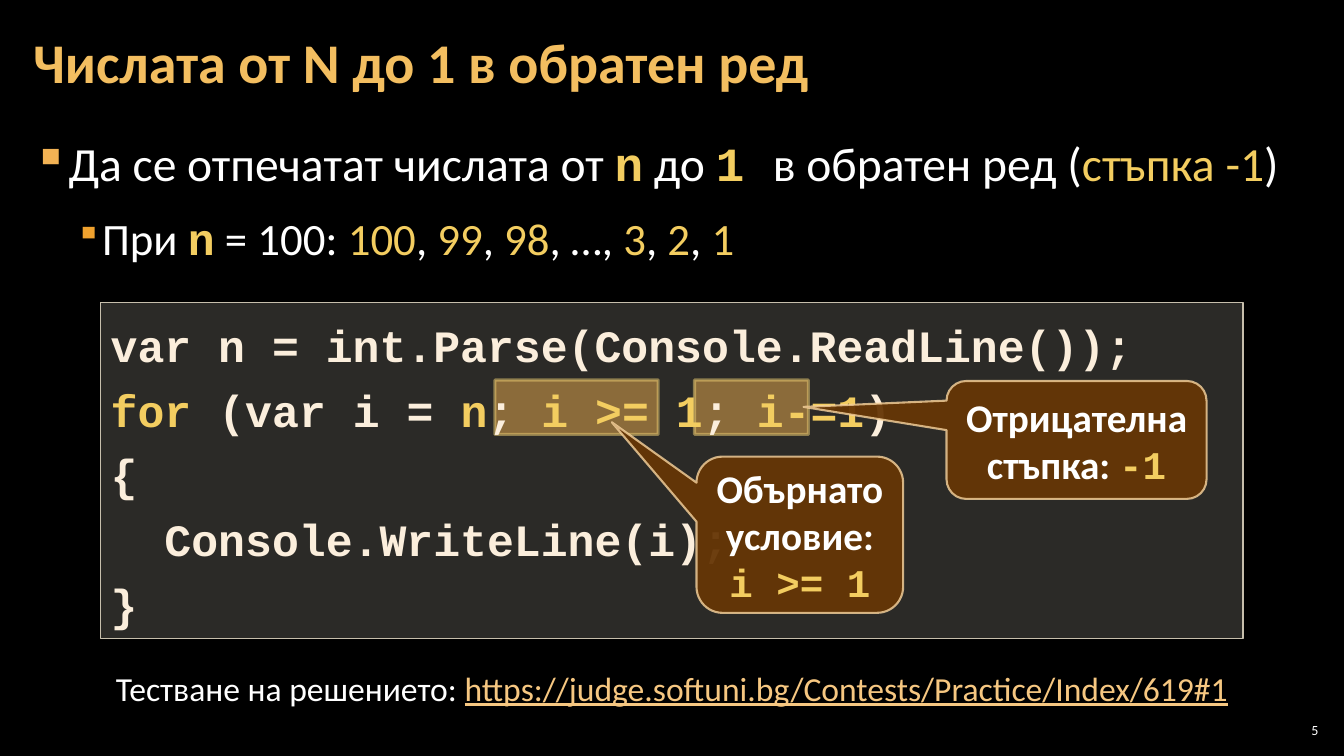
from lxml import etree
from pptx import Presentation
from pptx import util as u
from pptx.dml.color import RGBColor
from pptx.enum import shapes, text
from pptx.oxml import ns

CELL = u.Inches(1 / 12)
COLUMNS, ROWS = 160, 90
SANS, MONO = "Calibri", "Courier New"
WHITE, YELLOW, CREAM, AMBER = "FFFFFF", "F3CD60", "FBEEDC", "F0A22E"

PLAIN = (SANS, WHITE, False)
ACCENT = (SANS, YELLOW, False)
STRONG = (SANS, WHITE, True)
VALUE = (MONO, YELLOW, True)
CODE = (MONO, CREAM, True)
TITLE = (SANS, "F3BE60", True)
LINK = (SANS, "F6C781", False)


def rgb(value):
    return RGBColor.from_string(value)


def grid(box):
    return [round(length * CELL) for length in box]


def set_opacity(color_parent, percent):
    color = color_parent.find(".//" + ns.qn("a:srgbClr"))
    etree.SubElement(color, ns.qn("a:alpha"), val=str(percent * 1000))


def write(frame, paragraphs, size, align=text.PP_ALIGN.LEFT, spacing=None):
    for index, runs in enumerate(paragraphs):
        paragraph = frame.paragraphs[0] if index == 0 else frame.add_paragraph()
        paragraph.alignment = align
        if spacing:
            paragraph.line_spacing = spacing
        for content, (font, color, bold) in runs:
            run = paragraph.add_run()
            run.text = content
            run.font.name = font
            run.font.size = u.Pt(size)
            run.font.bold = bold
            run.font.color.rgb = rgb(color)
            run.font.underline = True if color == LINK[1] else None


def add_text(slide, box, paragraphs, size, anchor=text.MSO_ANCHOR.TOP, inset=0.1, **style):
    frame = slide.shapes.add_textbox(*grid(box)).text_frame
    frame.word_wrap = True
    frame.vertical_anchor = anchor
    frame.margin_left = frame.margin_right = u.Inches(inset)
    frame.margin_top = frame.margin_bottom = u.Inches(0.04)
    write(frame, paragraphs, size, **style)
    return frame


def add_panel(slide, preset, box, fill, line, line_width):
    shape = slide.shapes.add_shape(preset, *grid(box))
    shape.shadow.inherit = False
    shape.fill.solid()
    shape.fill.fore_color.rgb = rgb(fill[0])
    set_opacity(shape._element.spPr, fill[1])
    shape.line.color.rgb = rgb(line[0])
    shape.line.width = u.Pt(line_width)
    set_opacity(shape.line._get_or_add_ln(), line[1])
    shape.text_frame.word_wrap = True
    return shape


def add_bullet(paragraph, indent, hanging, color, percent):
    properties = paragraph._p.get_or_add_pPr()
    properties.set("marL", str(u.Inches(indent)))
    properties.set("indent", str(-u.Inches(hanging)))
    bullet_color = etree.SubElement(properties, ns.qn("a:buClr"))
    etree.SubElement(bullet_color, ns.qn("a:srgbClr"), val=color)
    etree.SubElement(properties, ns.qn("a:buSzPct"), val=str(percent * 1000))
    etree.SubElement(properties, ns.qn("a:buChar"), char="▪")


def add_highlight(slide, box):
    add_panel(slide, shapes.MSO_SHAPE.RECTANGLE, box, (AMBER, 50), (YELLOW, 50), 2.25)


def add_task(slide, box):
    sequence = [("При ", PLAIN), ("n", VALUE), (" = 100: ", PLAIN)]
    for number, separator in zip("100 99 98 3 2 1".split(), (", ", ", ", ", …, ", ", ", ", ", "")):
        sequence.append((number, ACCENT))
        if separator:
            sequence.append((separator, PLAIN))
    goal = [("Да се отпечатат числата от ", PLAIN), ("n", VALUE), (" до ", PLAIN), ("1 ", VALUE),
            ("в обратен ред (", PLAIN), ("стъпка -1", ACCENT), (")", PLAIN)]
    frame = add_text(slide, box, [goal, sequence], 34, inset=0.12, spacing=1.05)
    first, second = frame.paragraphs
    for run in second.runs:
        run.font.size = u.Pt(32)
    add_bullet(first, 0.33, 0.33, "F2B254", 100)
    add_bullet(second, 0.67, 0.25, AMBER, 80)
    second.level = 1
    first.space_after = second.space_before = second.space_after = u.Pt(6)


def add_code(slide, box):
    panel = add_panel(slide, shapes.MSO_SHAPE.RECTANGLE, box, ("D9D5C7", 20), ("C7BFAC", 100), 1)
    panel.text_frame.vertical_anchor = text.MSO_ANCHOR.TOP
    loop = [("for", VALUE), (" (var i = ", CODE), ("n", VALUE), ("; ", CODE), ("i >= 1", VALUE),
            ("; ", CODE), ("i-=1", VALUE), (")", CODE)]
    lines = [[("var n = int.Parse(Console.ReadLine());", CODE)], loop, [("{", CODE)],
             [("  Console.WriteLine(i);", CODE)], [("}", CODE)]]
    write(panel.text_frame, lines, 32, spacing=1.2)


def add_callout(slide, box, tip, paragraphs):
    callout = add_panel(slide, shapes.MSO_SHAPE.ROUNDED_RECTANGULAR_CALLOUT, box,
                        ("663606", 95), ("F8D49E", 80), 1.5)
    for index, share in enumerate(tip):
        callout.adjustments[index] = share
    callout.text_frame.vertical_anchor = text.MSO_ANCHOR.MIDDLE
    write(callout.text_frame, paragraphs, 28, align=text.PP_ALIGN.CENTER)


def build_slide(presentation):
    slide = presentation.slides.add_slide(presentation.slide_layouts[6])
    slide.background.fill.solid()
    slide.background.fill.fore_color.rgb = rgb("000000")
    middle = text.MSO_ANCHOR.MIDDLE

    add_highlight(slide, (58.92, 45.24, 19.44, 6.48))
    add_text(slide, (151.8, 85.68, 5.64, 2.52), [[("5", PLAIN)]], 10, middle, 0.04,
             align=text.PP_ALIGN.RIGHT)
    add_task(slide, (2.5, 15.12, 155, 73))
    add_text(slide, (2.5, 0.5, 125.6, 14.5), [[("Числата от N до 1 в обратен ред", TITLE)]],
             40, middle, 0.12, spacing=0.9)
    add_highlight(slide, (82.68, 45.24, 13.56, 6.48))
    add_code(slide, (12, 36, 136, 40))
    add_callout(slide, (112.68, 45.36, 30.96, 14.04), (-1.05, -0.28),
                [[("Отрицателна стъпка: ", STRONG), ("-1", VALUE)]])
    add_text(slide, (10, 79, 140, 6),
             [[("Тестване на решението: ", PLAIN),
               ("https://judge.softuni.bg/Contests/Practice/Index/619#1", LINK)]],
             24, align=text.PP_ALIGN.CENTER)
    add_callout(slide, (82.92, 54.36, 24.6, 18.6), (-0.91, -0.72),
                [[("Обърнато условие:", STRONG)], [("i >= 1", VALUE)]])


def main():
    presentation = Presentation()
    presentation.slide_width = COLUMNS * CELL
    presentation.slide_height = ROWS * CELL
    build_slide(presentation)
    presentation.save("out.pptx")


if __name__ == "__main__":
    main()
